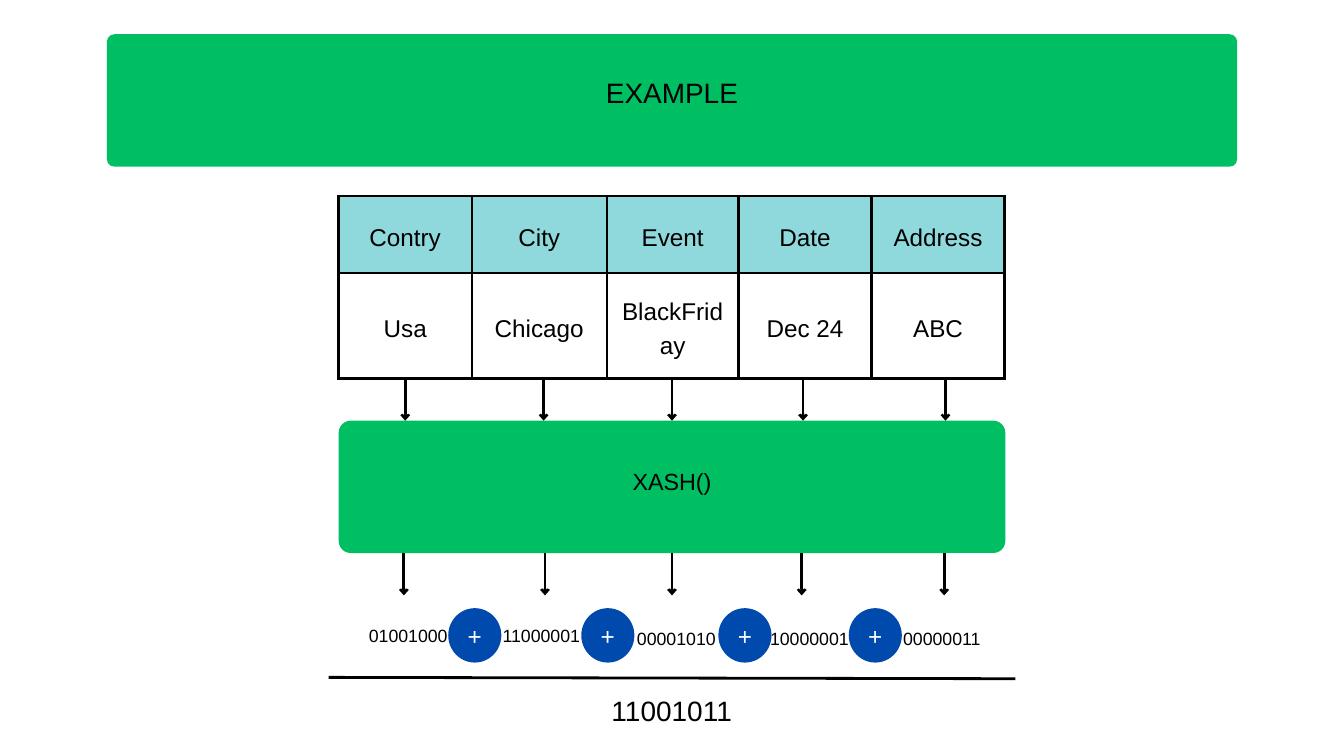
import pptx
import pptx.dml.color
import pptx.enum.shapes
import pptx.enum.text
import pptx.oxml
import pptx.oxml.ns
import pptx.util
from dataclasses import dataclass

PX = 9144  # EMU per px, at 100 px to the inch
SHAPE = pptx.enum.shapes.MSO_SHAPE
MIDDLE = pptx.enum.text.MSO_ANCHOR.MIDDLE
TOP_SIDE, BOTTOM_SIDE = 0, 2


@dataclass(frozen=True)
class Theme:
    font: str = "Arial"
    ink: str = "000000"
    light: str = "FFFFFF"
    green: str = "00BF62"
    aqua: str = "8FD8DB"
    blue: str = "004AAD"
    title: int = 30
    body: int = 26
    function: int = 25
    bits: int = 19
    leading: float = 1.4
    stroke: int = 3


THEME = Theme()


def px(*lengths):
    return [pptx.util.Emu(length * PX) for length in lengths]


def rgb(code):
    return pptx.dml.color.RGBColor.from_string(code)


def xml(markup):
    return pptx.oxml.parse_xml(markup.replace(">", f" {pptx.oxml.ns.nsdecls('a')}>", 1))


def write(frame, text, size, color=THEME.ink):
    """Put one centred line of text in a frame."""
    paragraph = frame.paragraphs[0]
    paragraph.text = text
    paragraph.alignment = pptx.enum.text.PP_ALIGN.CENTER
    paragraph.line_spacing = pptx.util.Pt(round(size * THEME.leading, 1))
    paragraph.font.name = THEME.font
    paragraph.font.size = pptx.util.Pt(size)
    paragraph.font.color.rgb = rgb(color)


def set_margins(target, left, top, right, bottom):
    (target.margin_left, target.margin_top,
     target.margin_right, target.margin_bottom) = px(left, top, right, bottom)


def add_block(slide, preset, box, fill, text, size, color, lift, corner=None):
    """Filled shape whose label sits above centre by half of lift."""
    block = slide.shapes.add_shape(preset, *px(*box))
    block.shadow.inherit = False
    block.fill.solid()
    block.fill.fore_color.rgb = rgb(fill)
    block.line.fill.background()
    if corner:
        block.adjustments[0] = round(corner / box[3], 3)
    frame = block.text_frame
    frame.word_wrap = True
    frame.vertical_anchor = MIDDLE
    set_margins(frame, 0, 0, 0, lift)
    write(frame, text, size, color)
    return block


def add_label(slide, box, text, size):
    frame = slide.shapes.add_textbox(*px(*box)).text_frame
    frame.word_wrap = True
    set_margins(frame, 0, 0, 0, 0)
    write(frame, text, size)


def add_line(slide, start, end, arrow=False):
    line = slide.shapes.add_connector(
        pptx.enum.shapes.MSO_CONNECTOR.STRAIGHT, *px(*start, *end))
    line.line.color.rgb = rgb(THEME.ink)
    line.line.width = pptx.util.Pt(THEME.stroke)
    properties = line.element.spPr
    if arrow:
        properties.find(pptx.oxml.ns.qn("a:ln")).append(
            xml('<a:tailEnd type="arrow" w="med" len="sm"></a:tailEnd>'))
    properties.append(xml("<a:effectLst></a:effectLst>"))
    return line


def add_borders(cell):
    width = pptx.util.Pt(THEME.stroke)
    properties = cell._tc.get_or_add_tcPr()
    for side in ("lnL", "lnR", "lnT", "lnB"):
        properties.append(xml(
            f'<a:{side} w="{width}"><a:solidFill><a:srgbClr val="{THEME.ink}"/>'
            f"</a:solidFill></a:{side}>"))


def add_record_table(slide, left, top, widths, heights, records):
    table = slide.shapes.add_table(
        len(heights), len(widths), *px(left, top, sum(widths), sum(heights))).table
    table.first_row = table.horz_banding = False
    for column, width in zip(table.columns, px(*widths)):
        column.width = width
    for row, height, values in zip(table.rows, px(*heights), records):
        row.height = height
        is_header = values is records[0]
        for cell, value in zip(row.cells, values):
            add_borders(cell)
            if is_header:
                cell.fill.solid()
                cell.fill.fore_color.rgb = rgb(THEME.aqua)
            else:
                cell.fill.background()
            cell.vertical_anchor = MIDDLE
            set_margins(cell, 21, 21, 21, 21)
            write(cell.text_frame, value, THEME.body)


def main():
    deck = pptx.Presentation()
    deck.slide_width, deck.slide_height = px(2000, 1125)
    slide = deck.slides.add_slide(deck.slide_layouts[6])

    # Title banner
    add_block(slide, SHAPE.ROUNDED_RECTANGLE, (159, 51, 1682, 197), THEME.green,
              "EXAMPLE", THEME.title, THEME.ink, lift=32, corner=11)

    # Input record
    add_record_table(slide, 504, 292, (198, 201, 196, 198, 198), (114, 157), (
        ("Contry", "City", "Event", "Date", "Address"),
        ("Usa", "Chicago", "BlackFriday", "Dec 24", "ABC"),
    ))

    # Hash function
    xash = add_block(slide, SHAPE.ROUNDED_RECTANGLE, (504, 626, 992, 197), THEME.green,
                     "XASH()", THEME.function, THEME.ink, lift=24, corner=18)

    # Arrows into and out of the function; the middle ones are joined to it
    for x in (603, 809, 1000, 1195, 1407):
        arrow = add_line(slide, (x, 562), (x, 626), arrow=True)
        if x == 1000:
            arrow.end_connect(xash, TOP_SIDE)
    for x in (601, 811, 1000, 1193, 1405):
        arrow = add_line(slide, (x, 823), (x, 886), arrow=True)
        if x == 1000:
            arrow.begin_connect(xash, BOTTOM_SIDE)

    # Hash of each value, with plus signs between
    for left, top, bits in ((547, 925, "01001000"), (745, 925, "11000001"),
                            (946, 929, "00001010"), (1144, 929, "10000001"),
                            (1341, 929, "00000011")):
        add_label(slide, (left, top, 121, 36), bits, THEME.bits)
    for left in (667, 865, 1069, 1263):
        add_block(slide, SHAPE.OVAL, (left, 905, 79, 81), THEME.blue,
                  "+", THEME.body, THEME.light, lift=7)

    # Combined hash
    add_line(slide, (489, 1008), (1511, 1010))
    add_label(slide, (907, 1024, 185, 58), "11001011", THEME.title)

    deck.save("out.pptx")


if __name__ == "__main__":
    main()
